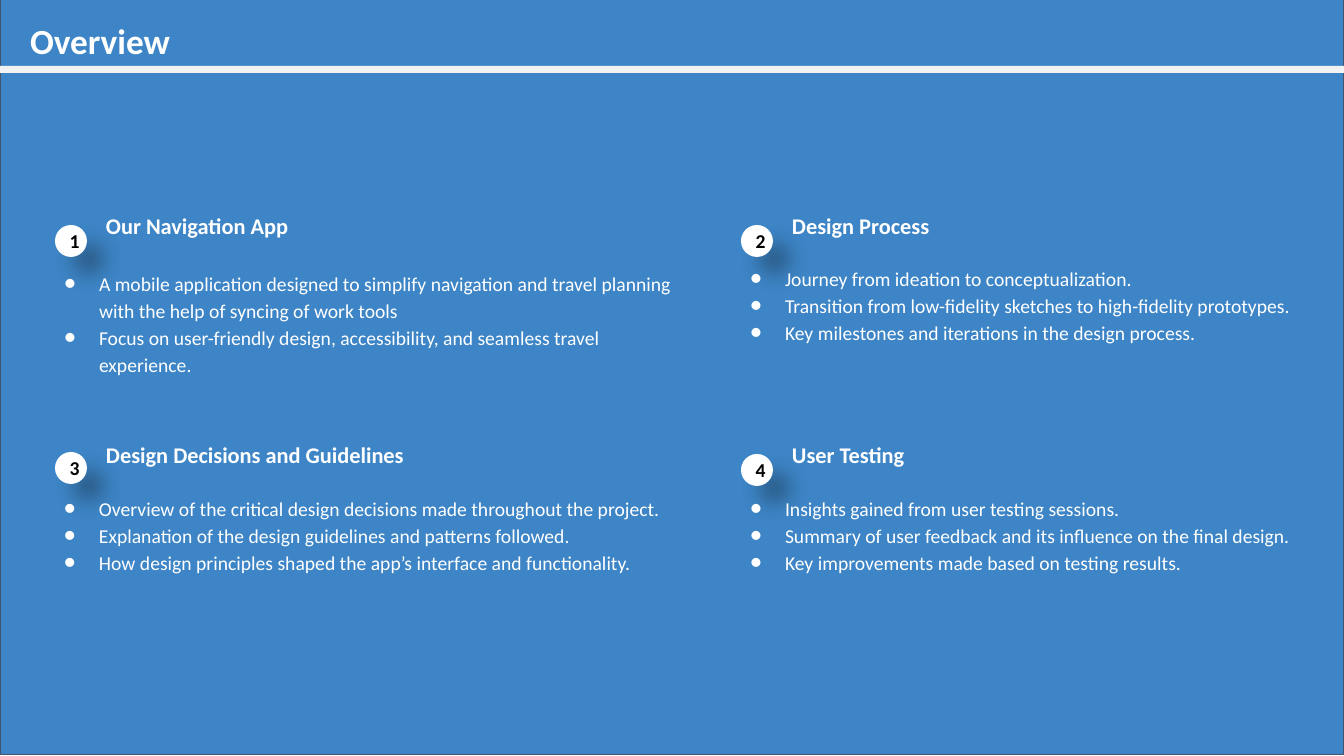
from lxml.etree import SubElement
from pptx import Presentation
from pptx.dml.color import RGBColor
from pptx.enum.shapes import MSO_SHAPE
from pptx.enum.text import MSO_ANCHOR, MSO_AUTO_SIZE, PP_ALIGN
from pptx.oxml.ns import qn
from pptx.util import Pt

SCALE = 914400 / 100.8  # EMU per px
FONT = "Calibri"
COLORS = {"blue": "3D85C6", "border": "44546A", "rule": "F2F2F2",
          "white": "FFFFFF", "black": "000000"}

# number, heading, box (left, top, body width), badge and body offsets, bullets
SECTIONS = [
    ("1", "Our Navigation App", (39, 198, 668), 27, 60, [
        "A mobile application designed to simplify navigation and travel planning "
        "with the help of syncing of work tools",
        "Focus on user-friendly design, accessibility, and seamless travel experience."]),
    ("3", "Design Decisions and Guidelines", (39, 427, 641), 25, 56, [
        "Overview of the critical design decisions made throughout the project.",
        "Explanation of the design guidelines and patterns followed.",
        "How design principles shaped the app’s interface and functionality."]),
    ("2", "Design Process", (725, 198, 590), 27, 55, [
        "Journey from ideation to conceptualization.",
        "Transition from low-fidelity sketches to high-fidelity prototypes.",
        "Key milestones and iterations in the design process."]),
    ("4", "User Testing", (725, 427, 590), 27, 56, [
        "Insights gained from user testing sessions.",
        "Summary of user feedback and its influence on the final design.",
        "Key improvements made based on testing results."]),
]


def px(n):
    return round(n * SCALE)


def rgb(name):
    return RGBColor.from_string(COLORS[name])


def style(p, size, color, bold=False):
    for r in p.runs:
        f = r.font
        f.name, f.size, f.bold = FONT, Pt(size), bold
        f.color.rgb = rgb(color)


def set_insets(tf, x, y):
    tf.margin_left = tf.margin_right = px(x)
    tf.margin_top = tf.margin_bottom = px(y)
    tf.word_wrap = True


def add_shape(shapes, kind, box, fill):
    sp = shapes.add_shape(kind, *map(px, box))
    sp.shadow.inherit = False
    sp.fill.solid()
    sp.fill.fore_color.rgb = rgb(fill)
    sp.line.fill.background()
    return sp


def add_text(shapes, box, lines, size, bold=False):
    tf = shapes.add_textbox(*map(px, box)).text_frame
    set_insets(tf, 10, 10)
    tf.text = "\n".join(lines)
    for p in tf.paragraphs:
        p.line_spacing = 1.15
        style(p, size, "white", bold)
    return tf


def add_bullet(p):
    pPr = p._p.get_or_add_pPr()
    pPr.set("marL", str(px(50)))
    pPr.set("indent", str(px(-35)))
    color = SubElement(pPr, qn("a:buClr"))
    SubElement(color, qn("a:srgbClr"), val=COLORS["white"])
    SubElement(pPr, qn("a:buFont"), typeface=FONT)
    SubElement(pPr, qn("a:buChar"), char="●")


def add_shadow(sp):
    effects = sp.element.spPr.find(qn("a:effectLst"))
    shadow = SubElement(effects, qn("a:outerShdw"), blurRad=str(Pt(15)),
                        dist=str(Pt(18)), dir="2700000", algn="tl", rotWithShape="0")
    color = SubElement(shadow, qn("a:srgbClr"), val=COLORS["black"])
    SubElement(color, qn("a:alpha"), val="30000")


def add_header(slide, width, height):
    title = slide.shapes.title
    # Background panel, placed behind the title
    panel = add_shape(slide.shapes, MSO_SHAPE.RECTANGLE, (0, -1, width, height), "blue")
    panel.line.color.rgb = rgb("border")
    panel.line.width = Pt(0.75)
    title.element.addprevious(panel.element)

    # Title
    title.left, title.top, title.width, title.height = map(px, (20, 20, 1159, 46))
    tf = title.text_frame
    tf.text = "Overview"
    tf.auto_size = MSO_AUTO_SIZE.NONE
    tf.vertical_anchor = MSO_ANCHOR.MIDDLE
    set_insets(tf, 10, 5)
    p = tf.paragraphs[0]
    p.alignment = PP_ALIGN.LEFT
    p.line_spacing = 0.9
    style(p, 25.2, "white", True)

    # Rule under the title
    add_shape(slide.shapes, MSO_SHAPE.RECTANGLE, (0, 66, width, 7), "rule")


def add_section(slide, number, heading, box, badge_dy, body_dy, bullets):
    left, top, width = box
    shapes = slide.shapes.add_group_shape().shapes

    # Number badge
    badge = add_shape(shapes, MSO_SHAPE.OVAL, (left + 16, top + badge_dy, 32, 32), "white")
    add_shadow(badge)
    tf = badge.text_frame
    set_insets(tf, 10, 10)
    tf.vertical_anchor = MSO_ANCHOR.MIDDLE
    tf.text = number
    tf.paragraphs[0].alignment = PP_ALIGN.CENTER
    style(tf.paragraphs[0], 14, "black", True)

    # Heading and bullets
    add_text(shapes, (left + 57, top, 331, 47), [heading], 16, True)
    body = add_text(shapes, (left, top + body_dy, width, 99), bullets, 14)
    for p in body.paragraphs:
        add_bullet(p)


def main():
    prs = Presentation()
    width, height = 1344, 756
    prs.slide_width, prs.slide_height = px(width), px(height)
    slide = prs.slides.add_slide(prs.slide_layouts[5])
    add_header(slide, width, height)
    for section in SECTIONS:
        add_section(slide, *section)
    prs.save("out.pptx")


if __name__ == "__main__":
    main()
